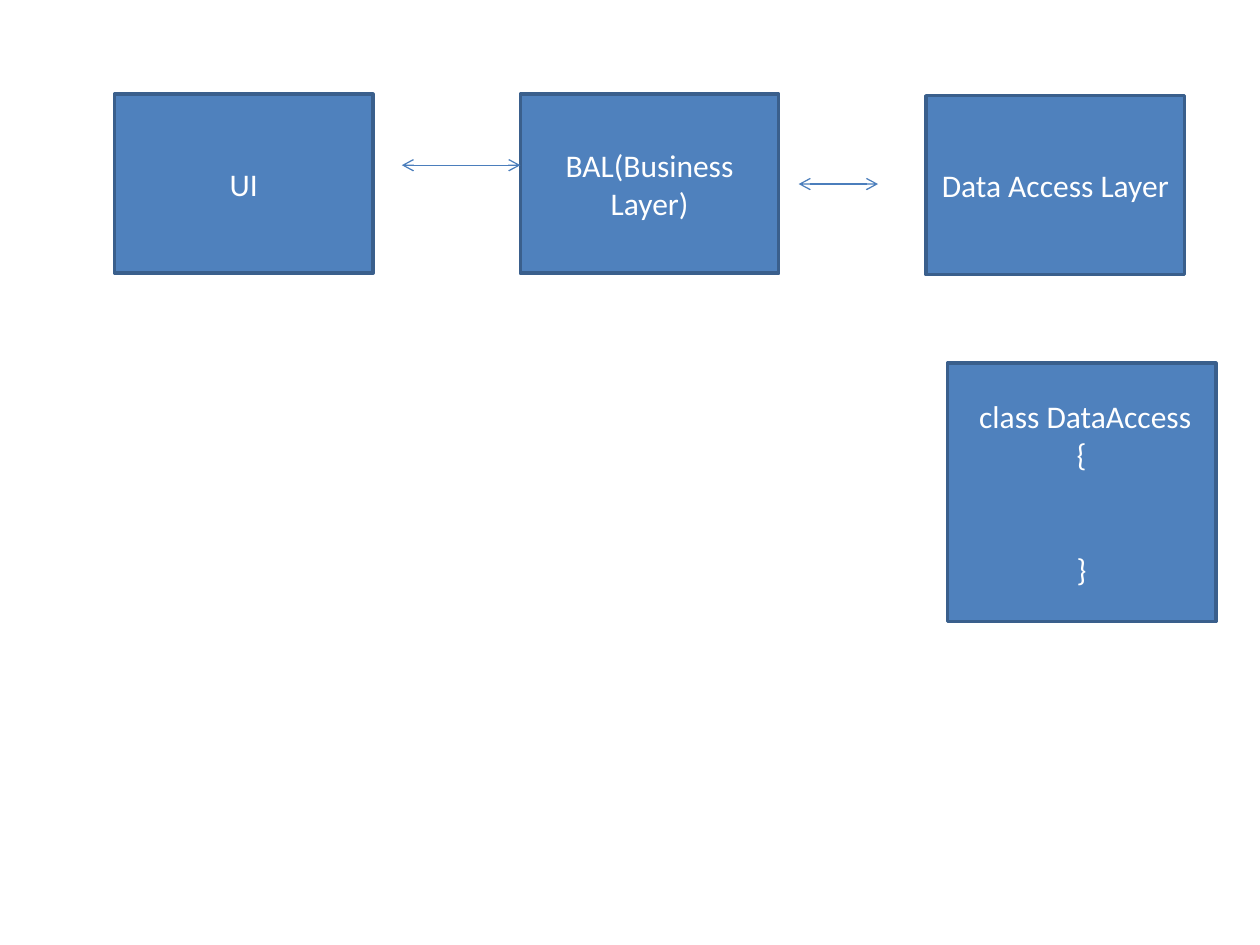
from dataclasses import dataclass

from lxml import etree
from pptx import Presentation
from pptx.dml.color import RGBColor as RGB
from pptx.enum.shapes import MSO_CONNECTOR as CONN, MSO_SHAPE as SHAPE
from pptx.enum.text import MSO_ANCHOR as ANCHOR, PP_ALIGN as ALIGN
from pptx.oxml.ns import qn
from pptx.util import Cm, Pt


@dataclass(frozen=True)
class Theme:
    fill: RGB = RGB(0x4F, 0x81, 0xBD)
    border: RGB = RGB(0x3A, 0x5F, 0x8C)
    arrow: RGB = RGB(0x4B, 0x7E, 0xBC)
    text: RGB = RGB(0xFF, 0xFF, 0xFF)
    font: str = "Calibri"
    size: Pt = Pt(18)
    border_width: Pt = Pt(2)
    arrow_width: Pt = Pt(0.75)
    code_gap: Pt = Pt(44)


theme = Theme()


def add_box(s, x, y, w, h, lines):
    sp = s.shapes.add_shape(SHAPE.RECTANGLE, Cm(x), Cm(y), Cm(w), Cm(h))
    sp.shadow.inherit = False
    sp.fill.solid()
    sp.fill.fore_color.rgb = theme.fill
    sp.line.color.rgb = theme.border
    sp.line.width = theme.border_width
    tf = sp.text_frame
    tf.word_wrap = True
    tf.vertical_anchor = ANCHOR.MIDDLE
    for i, line in enumerate(lines):
        p = tf.paragraphs[0] if i == 0 else tf.add_paragraph()
        p.alignment = ALIGN.CENTER
        r = p.add_run()
        r.text = line
        r.font.name = theme.font
        r.font.size = theme.size
        r.font.color.rgb = theme.text
    return sp


prs = Presentation()
prs.slide_width, prs.slide_height = Cm(25.4), Cm(19.05)
s = prs.slides.add_slide(prs.slide_layouts[6])

# Layer boxes, evenly spaced
left, pitch, box_w, box_h = 2.31, 8.18, 5.21, 3.61
layers = [("UI", 1.9), ("BAL(Business Layer)", 1.9), ("Data Access Layer", 1.93)]
for i, (name, top) in enumerate(layers):
    add_box(s, left + i * pitch, top, box_w, box_h, [name])

# Two-way arrows between the layers
for x1, x2, y in [(16.1, 17.7, 3.71), (8.1, left + pitch, 3.33)]:
    arrow = s.shapes.add_connector(CONN.STRAIGHT, Cm(x1), Cm(y), Cm(x2), Cm(y))
    arrow.line.color.rgb = theme.arrow
    arrow.line.width = theme.arrow_width
    ln = arrow.line._get_or_add_ln()
    for end in ("a:headEnd", "a:tailEnd"):
        etree.SubElement(ln, qn(end), type="arrow")
    etree.SubElement(ln.getparent(), qn("a:effectLst"))

# Class outline, with room for a body between the braces
code = add_box(s, 19.1, 7.32, 5.41, 5.21, [" class DataAccess", "{", "}"])
code.text_frame.paragraphs[-1].space_before = theme.code_gap

prs.save("out.pptx")
